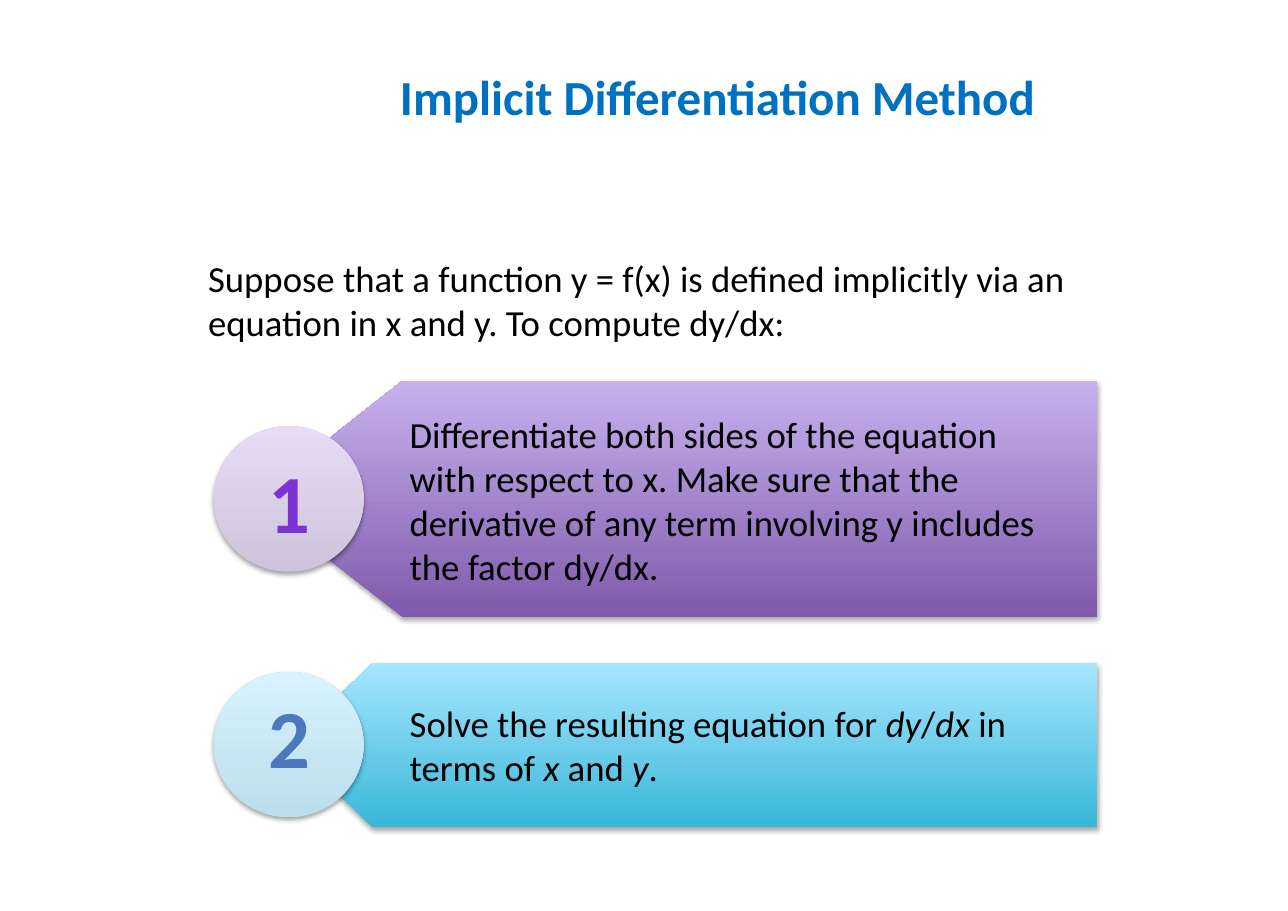
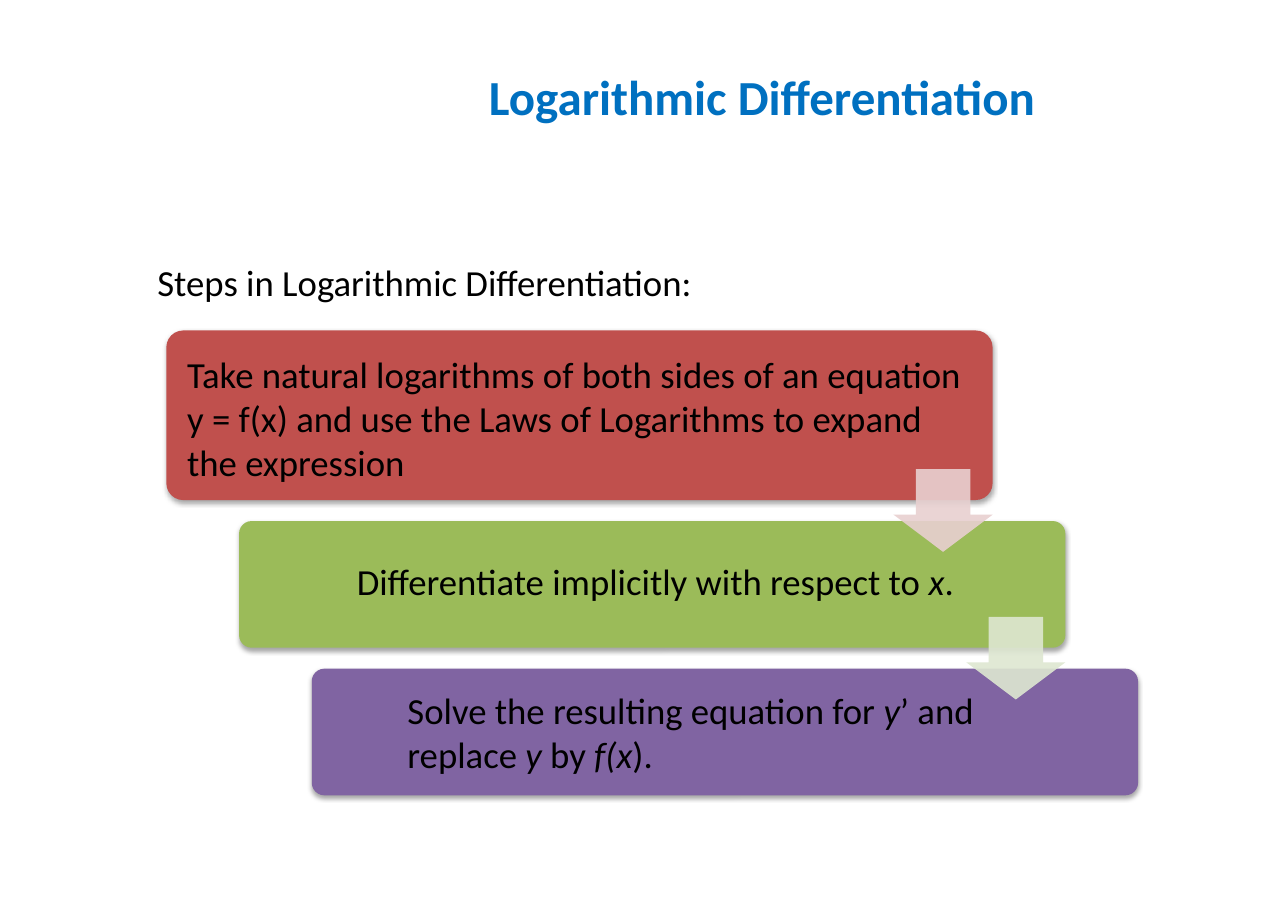
"""Build two calculus slides: implicit and logarithmic differentiation."""
from dataclasses import dataclass

import lxml.etree
import pptx
import pptx.dml.color
import pptx.enum.shapes
import pptx.enum.text
import pptx.oxml.ns
import pptx.presentation
import pptx.shapes.autoshape
import pptx.slide
import pptx.text.text
import pptx.util

PX = 9144
FONT = "Calibri"
COLORS = {
    "title": "0070C0",
    "text": "000000",
    "shadow": "000000",
    "purple_dark": "7F5BAB",
    "purple_light": "C8B0ED",
    "lilac_dark": "CDC3DA",
    "lilac_light": "E6DCF5",
    "cyan_dark": "39B7D8",
    "cyan_light": "A7E6FF",
    "ice_dark": "BCDDEA",
    "ice_light": "D6F3FF",
    "number_purple": "7B34D2",
    "number_blue": "4D79BC",
    "red": "C0504D",
    "green": "9BBB59",
    "violet": "8064A2",
    "red_tint": "E8D0D0",
    "green_tint": "DEE7D1",
}
MSO_SHAPE = pptx.enum.shapes.MSO_SHAPE
PP_ALIGN = pptx.enum.text.PP_ALIGN

CIRCLE_LEFT, CIRCLE_WIDTH, CIRCLE_HEIGHT = 194, 136, 132
BANNER_RIGHT = 996
CARD_LEFT, CARD_TOP, CARD_WIDTH = 151, 300, 750
CARD_SHIFT, CARD_GAP = 66, 19
ARROW_WIDTH, ARROW_HEIGHT, ARROW_OVERLAP = 90, 75, 28


@dataclass(frozen=True)
class Box:
    """A rectangle in px."""

    left: int
    top: int
    width: int
    height: int

    def emu(self) -> tuple[int, int, int, int]:
        """Return the rectangle in EMU."""
        return self.left * PX, self.top * PX, self.width * PX, self.height * PX


@dataclass(frozen=True)
class Span:
    """A run of text."""

    text: str
    italic: bool = False


@dataclass(frozen=True)
class Banner:
    """A numbered banner with a pointed left end."""

    number: str
    number_top: int
    number_color: str
    top: int
    height: int
    tip: int
    shoulder: int
    hue: str
    circle_hue: str
    text_box: Box
    spans: tuple[Span, ...]


@dataclass(frozen=True)
class Card:
    """A step in the staircase, with the colour of the arrow that leaves it."""

    height: int
    color: str
    arrow_color: str | None
    text_box: Box
    spans: tuple[Span, ...]


BANNERS = (
    Banner("1", 404, "number_purple", 346, 214, 229, 365, "purple", "lilac", Box(362, 369, 600, 172), (
        Span("Differentiate both sides of the equation with respect to x. Make sure that the "
             "derivative of any term involving y includes the factor dy/dx."),
    )),
    Banner("2", 618, "number_blue", 602, 149, 262, 338, "cyan", "ice", Box(362, 631, 600, 91), (
        Span("Solve the resulting equation for "), Span("dy", True), Span("/"), Span("dx ", True),
        Span("in terms of "), Span("x ", True), Span("and "), Span("y", True), Span("."),
    )),
)
CARDS = (
    Card(154, "red", "red_tint", Box(160, 314, 732, 131), (
        Span("Take natural logarithms of both sides of an equation y = f(x) and use the Laws of "
             "Logarithms to expand the expression"),
    )),
    Card(115, "green", "green_tint", Box(314, 502, 597, 91), (
        Span("Differentiate implicitly with respect to "), Span("x", True), Span("."),
    )),
    Card(115, "violet", None, Box(360, 619, 597, 91), (
        Span("Solve the resulting equation for "), Span("y", True), Span("’ and replace "),
        Span("y ", True), Span("by "), Span("f(x", True), Span(")."),
    )),
)


def rgb(name: str) -> pptx.dml.color.RGBColor:
    """Return a named colour."""
    return pptx.dml.color.RGBColor.from_string(COLORS[name])


def write(para: pptx.text.text._Paragraph, spans: tuple[Span, ...], size: int = 24,
          color: str = "text", bold: bool = False, align: PP_ALIGN = PP_ALIGN.LEFT) -> None:
    """Add formatted runs to a paragraph."""
    para.alignment = align
    for span in spans:
        run = para.add_run()
        run.text = span.text
        run.font.name = FONT
        run.font.size = pptx.util.Pt(size)
        run.font.bold = bold
        run.font.italic = span.italic
        run.font.color.rgb = rgb(color)


def add_text(page: pptx.slide.Slide, box: Box, spans: tuple[Span, ...]) -> None:
    """Add a wrapped body text box."""
    frame = page.shapes.add_textbox(*box.emu()).text_frame
    frame.word_wrap = True
    write(frame.paragraphs[0], spans)


def add_page(deck: pptx.presentation.Presentation, title: str) -> pptx.slide.Slide:
    """Add a title-only slide with the shared title style."""
    page = deck.slides.add_slide(deck.slide_layouts[5])
    holder = page.shapes.title
    holder.left, holder.top, holder.width, holder.height = Box(50, 25, 900, 125).emu()
    holder.text_frame.vertical_anchor = pptx.enum.text.MSO_ANCHOR.MIDDLE
    write(holder.text_frame.paragraphs[0], (Span(title),), 32, "title", True, PP_ALIGN.RIGHT)
    return page


def add_alpha(color: lxml.etree._Element, percent: int) -> None:
    """Set the opacity of a colour element."""
    lxml.etree.SubElement(color, pptx.oxml.ns.qn("a:alpha"), val=str(percent * 1000))


def add_shadow(shape: pptx.shapes.autoshape.Shape) -> None:
    """Give a shape a soft shadow below it."""
    shape.shadow.inherit = False
    effects = shape.element.spPr.find(pptx.oxml.ns.qn("a:effectLst"))
    outer = lxml.etree.SubElement(effects, pptx.oxml.ns.qn("a:outerShdw"), blurRad="40000",
                                  dist="23000", dir="5400000", rotWithShape="0")
    color = lxml.etree.SubElement(outer, pptx.oxml.ns.qn("a:srgbClr"), val=COLORS["shadow"])
    add_alpha(color, 35)


def fill_gradient(shape: pptx.shapes.autoshape.Shape, hue: str) -> None:
    """Fill a borderless shape from dark at the bottom to light at the top."""
    shape.line.fill.background()
    shape.fill.gradient()
    shape.fill.gradient_angle = 90
    for stop, tone in zip(shape.fill.gradient_stops, ("dark", "light")):
        stop.color.rgb = rgb(f"{hue}_{tone}")
    add_shadow(shape)


def fill_solid(shape: pptx.shapes.autoshape.Shape, color: str) -> None:
    """Fill a borderless shape with one colour."""
    shape.line.fill.background()
    shape.fill.solid()
    shape.fill.fore_color.rgb = rgb(color)


def add_banner(page: pptx.slide.Slide, banner: Banner) -> None:
    """Draw a pointed banner, its numbered circle and its text."""
    bottom = banner.top + banner.height
    middle = banner.top + banner.height // 2
    builder = page.shapes.build_freeform(BANNER_RIGHT, bottom, scale=PX)
    builder.add_line_segments([(banner.shoulder, bottom), (banner.tip, middle),
                               (banner.shoulder, banner.top), (BANNER_RIGHT, banner.top)])
    fill_gradient(builder.convert_to_shape(), banner.hue)

    circle_box = Box(CIRCLE_LEFT, middle - CIRCLE_HEIGHT // 2, CIRCLE_WIDTH, CIRCLE_HEIGHT)
    circle = page.shapes.add_shape(MSO_SHAPE.OVAL, *circle_box.emu())
    fill_gradient(circle, banner.circle_hue)

    number_box = Box(233, banner.number_top, 59, 101)
    frame = page.shapes.add_textbox(*number_box.emu()).text_frame
    frame.word_wrap = False
    write(frame.paragraphs[0], (Span(banner.number),), 54, banner.number_color, True, PP_ALIGN.CENTER)
    add_text(page, banner.text_box, banner.spans)


def add_card(page: pptx.slide.Slide, card: Card, box: Box) -> None:
    """Draw a rounded card."""
    shape = page.shapes.add_shape(MSO_SHAPE.ROUNDED_RECTANGLE, *box.emu())
    shape.adjustments[0] = 0.1
    fill_solid(shape, card.color)
    add_shadow(shape)


def add_arrow(page: pptx.slide.Slide, color: str, box: Box) -> None:
    """Draw a translucent arrow from the lower right corner of a card."""
    arrow_box = Box(box.left + box.width - ARROW_WIDTH, box.top + box.height - ARROW_OVERLAP,
                    ARROW_WIDTH, ARROW_HEIGHT)
    arrow = page.shapes.add_shape(MSO_SHAPE.DOWN_ARROW, *arrow_box.emu())
    arrow.adjustments[0] = 0.55
    arrow.adjustments[1] = 0.45
    fill_solid(arrow, color)
    arrow.shadow.inherit = False
    solid = arrow.element.spPr.find(pptx.oxml.ns.qn("a:solidFill"))
    add_alpha(solid[0], 90)


def build_implicit(deck: pptx.presentation.Presentation) -> None:
    """Build the implicit differentiation slide."""
    page = add_page(deck, "Implicit Differentiation Method")
    add_text(page, Box(179, 227, 808, 91), (
        Span("Suppose that a function y = f(x) is defined implicitly via an equation in x and y. "
             "To compute dy/dx:"),
    ))
    for banner in BANNERS:
        add_banner(page, banner)


def build_logarithmic(deck: pptx.presentation.Presentation) -> None:
    """Build the logarithmic differentiation slide."""
    page = add_page(deck, "Logarithmic Differentiation")
    add_text(page, Box(133, 231, 882, 50), (Span("Steps in Logarithmic Differentiation:"),))
    boxes: list[Box] = []
    top = CARD_TOP
    for index, card in enumerate(CARDS):
        boxes.append(Box(CARD_LEFT + index * CARD_SHIFT, top, CARD_WIDTH, card.height))
        add_card(page, card, boxes[-1])
        top += card.height + CARD_GAP
    for card, box in zip(CARDS, boxes):
        if card.arrow_color:
            add_arrow(page, card.arrow_color, box)
        add_text(page, card.text_box, card.spans)


def main() -> None:
    """Build and save the deck."""
    deck = pptx.Presentation()
    deck.slide_width, deck.slide_height = 1169 * PX, 827 * PX
    build_implicit(deck)
    build_logarithmic(deck)
    deck.save("out.pptx")


if __name__ == "__main__":
    main()
